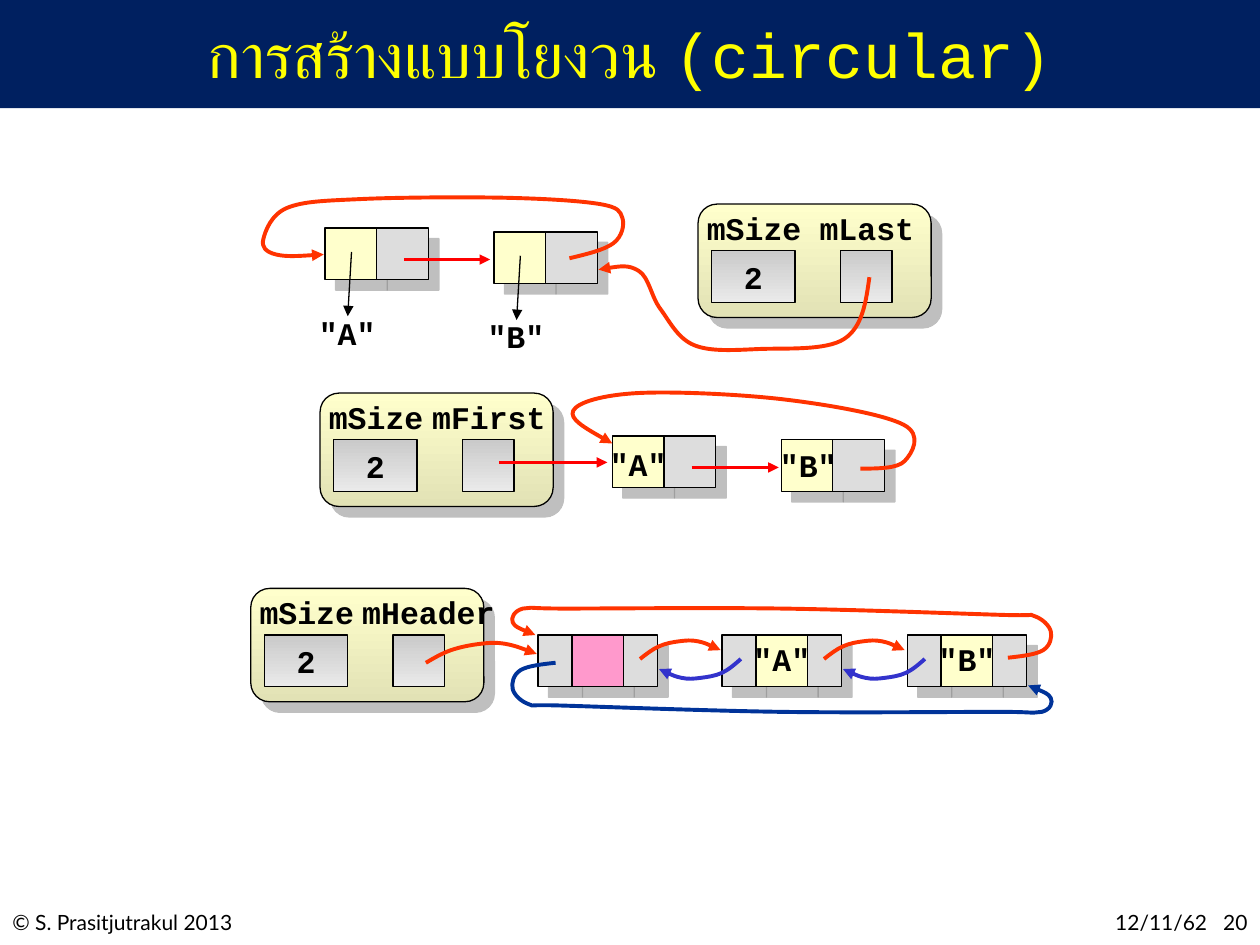
"""Build a slide showing three circular linked list layouts."""
from dataclasses import dataclass

from lxml.etree import SubElement
from pptx import Presentation
from pptx.dml.color import RGBColor
from pptx.enum.shapes import MSO_CONNECTOR, MSO_SHAPE
from pptx.enum.text import MSO_ANCHOR, PP_ALIGN
from pptx.oxml.ns import qn
from pptx.util import Inches, Pt


@dataclass(frozen=True)
class Theme:
    navy: str = "002060"
    title: str = "FFFF00"
    ink: str = "000000"
    value: str = "FFFFCC"
    link: str = "DDDDDD"
    header: str = "FF99CC"
    shadow: str = "808080"
    record: tuple = ("FFFFCC", "E2E2B5")
    field: tuple = ("CACACA", "EAEAEA")
    red: str = "FF0000"
    orange: str = "FF3300"
    violet: str = "3333CC"
    blue: str = "003399"
    code_font: str = "Courier New"
    footer_font: str = "Lato"
    title_size: int = 36
    label_size: int = 18
    footer_size: int = 12


theme = Theme()
deck = Presentation()
deck.slide_width, deck.slide_height = Inches(10), Inches(7.5)
page = deck.slides.add_slide(deck.slide_layouts[6])
shapes = page.shapes


def add_box(place, fill, preset=MSO_SHAPE.RECTANGLE, line=theme.ink, shadow=False):
    box = shapes.add_shape(preset, *map(Inches, place))
    if isinstance(fill, tuple):
        box.fill.gradient()
        box.fill.gradient_angle = 270
        for stop, colour in zip(box.fill.gradient_stops, fill):
            stop.color.rgb = RGBColor.from_string(colour)
            stop.position = fill.index(colour)
    else:
        box.fill.solid()
        box.fill.fore_color.rgb = RGBColor.from_string(fill)
    if line:
        box.line.color.rgb = RGBColor.from_string(line)
        box.line.width = Pt(0.75)
    else:
        box.line.fill.background()
    box.shadow.inherit = False
    if shadow:
        effects = box.element.spPr.find(qn("a:effectLst"))
        outer = SubElement(effects, qn("a:outerShdw"), dist=str(Pt(8.5)),
                           dir="2700000", algn="ctr", rotWithShape="0")
        tint = SubElement(outer, qn("a:srgbClr"), val=theme.shadow)
        SubElement(tint, qn("a:alpha"), val="50000")
    return box


def write(box, text, size=theme.label_size, font=theme.code_font, colour=theme.ink,
          bold=True, align=PP_ALIGN.CENTER, anchor=MSO_ANCHOR.TOP):
    frame = box.text_frame
    frame.word_wrap = True
    frame.vertical_anchor = anchor
    para = frame.paragraphs[0]
    para.text = text
    para.alignment = align
    para.font.size = Pt(size)
    para.font.name = font
    para.font.bold = bold
    para.font.color.rgb = RGBColor.from_string(colour)


add_box((0, 0, 10, 0.86), theme.navy, line=None)
title = shapes.add_textbox(*map(Inches, (0.75, 0.01, 8.5, 0.83)))
write(title, "การสร้างแบบโยงวน (circular)", theme.title_size, colour=theme.title,
      bold=False, anchor=MSO_ANCHOR.MIDDLE)

footers = [
    ("© S. Prasitjutrakul 2013", 0, 3.25, PP_ALIGN.LEFT),
    ("12/11/62", 8.47, 1.21, PP_ALIGN.RIGHT),
    ("20", 9.5, 0.5, PP_ALIGN.RIGHT),
]
for text, left, width, align in footers:
    footer = shapes.add_textbox(*map(Inches, (left, 7.17, width, 0.3)))
    write(footer, text, theme.footer_size, theme.footer_font, bold=False, align=align)

cell = 0.41
labels = [
    ('"A"', 2.34, 2.44, 0.83), ('"B"', 3.68, 2.47, 0.83),
    ('"A"', 4.65, 3.48, 0.83), ('"B"', 6, 3.49, 0.83),
    ('"A"', 5.87, 5.03, 0.67), ('"B"', 7.34, 5.03, 0.67),
]

records = [
    ("mLast", 5.54, 1.62, 1.14),
    ("mFirst", 2.54, 3.12, 1.14),
    ("mHeader", 1.99, 4.67, 1.28),
]
for name, left, top, name_width in records:
    add_box((left, top, 1.85, 0.9), theme.record, MSO_SHAPE.ROUNDED_RECTANGLE, shadow=True)
    add_box((left + 1.13, top + 0.37, cell, cell), theme.field)
    size_field = add_box((left + 0.11, top + 0.37, 0.66, cell), theme.field)
    write(size_field, "2", anchor=MSO_ANCHOR.MIDDLE)
    labels += [("mSize", left - 0.06, top - 0.01, 1.01),
               (name, left + 0.77, top - 0.01, name_width)]

single = [(cell, theme.value), (cell, theme.link)]
double = [(0.27, theme.link), (cell, theme.value), (0.27, theme.link)]
header = [(0.27, theme.link), (cell, theme.header), (0.27, theme.link)]
nodes = [
    (2.58, 1.81, single), (3.92, 1.84, single),
    (4.86, 3.46, single), (6.2, 3.49, single),
    (4.27, 5.04, header), (5.73, 5.04, double), (7.2, 5.04, double),
]
for left, top, cells in nodes:
    for width, colour in cells:
        add_box((left, top, width, cell), colour, shadow=True)
        left += width

arrows = [
    (theme.ink, 0.75, [(2.79, 2), (2.76, 2.51)]),
    (theme.ink, 0.75, [(4.13, 2.03), (4.1, 2.54)]),
    (theme.red, 2, [(3.21, 2.06), (3.89, 2.06)]),
    (theme.red, 2, [(3.96, 3.67), (4.82, 3.67)]),
    (theme.red, 2, [(5.49, 3.71), (6.18, 3.71)]),
    (theme.orange, 2.25, [(6.9, 2.2), (6.7, 2.69), (6.03, 2.77), (5.51, 2.74),
                          (5.24, 2.45), (5.07, 2.15), (4.75, 2.14)]),
    (theme.orange, 2.25, [(4.52, 2.05), (4.87, 1.93), (4.94, 1.73), (4.76, 1.62), (4, 1.57),
                          (2.87, 1.58), (2.28, 1.65), (2.09, 1.9), (2.19, 2.02), (2.57, 2.02)]),
    (theme.orange, 2.25, [(6.83, 3.72), (7.18, 3.66), (7.17, 3.37), (6.22, 3.17),
                          (5.06, 3.12), (4.55, 3.26), (4.86, 3.52)]),
    (theme.orange, 2.25, [(3.38, 5.26), (3.58, 5.16), (3.81, 5.11), (4.01, 5.11), (4.26, 5.19)]),
    (theme.orange, 2.25, [(8, 5.22), (8.28, 5.16), (8.34, 5.01), (8.21, 4.89), (7.95, 4.88),
                          (6.21, 4.83), (4.49, 4.83), (4.15, 4.83), (4.07, 4.94), (4.25, 5.04)]),
    (theme.blue, 2.25, [(4.41, 5.26), (4.13, 5.32), (4.07, 5.47), (4.2, 5.59), (4.46, 5.6),
                        (6.2, 5.65), (7.92, 5.65), (8.27, 5.65), (8.34, 5.54), (8.16, 5.44)]),
]
forward = [(5.08, 5.23), (5.23, 5.13), (5.39, 5.09), (5.54, 5.09), (5.72, 5.16)]
backward = [(5.88, 5.23), (5.73, 5.34), (5.56, 5.38), (5.41, 5.38), (5.23, 5.31)]
for shift in (0, 1.46):
    for colour, knots in ((theme.orange, forward), (theme.violet, backward)):
        arrows.append((colour, 2.25, [(x + shift, y) for x, y in knots]))

for colour, weight, knots in arrows:
    straight = len(knots) == 2
    if straight:
        ends = [Inches(value) for knot in knots for value in knot]
        arrow = shapes.add_connector(MSO_CONNECTOR.STRAIGHT, *ends)
    else:
        tangents = [((after[0] - before[0]) / 6, (after[1] - before[1]) / 6)
                    for before, after in zip(knots, knots[2:])]
        leaving = [(x + dx, y + dy) for (x, y), (dx, dy) in zip(knots[1:], tangents)]
        arriving = [(x - dx, y - dy) for (x, y), (dx, dy) in zip(knots[1:], tangents)]
        first = tuple((a + b) / 2 for a, b in zip(knots[0], arriving[0]))
        last = tuple((a + b) / 2 for a, b in zip(knots[-1], leaving[-1]))
        segments = zip([first] + leaving, arriving + [last], knots[1:])
        points = [tuple(map(Inches, point)) for segment in segments for point in segment]
        builder = shapes.build_freeform(*map(Inches, knots[0]))
        builder.add_line_segments(points, close=False)
        arrow = builder.convert_to_shape()
        arrow.fill.background()
        arrow.shadow.inherit = False
        steps = arrow.element.spPr.findall(".//" + qn("a:lnTo"))
        outline = steps[0].getparent()
        for start in range(0, len(steps), 3):
            bend = SubElement(outline, qn("a:cubicBezTo"))
            for step in steps[start:start + 3]:
                bend.append(step[0])
                outline.remove(step)
    arrow.line.color.rgb = RGBColor.from_string(colour)
    arrow.line.width = Pt(weight)
    properties = arrow.element.spPr
    SubElement(properties.find(qn("a:ln")), qn("a:tailEnd"), type="triangle")
    if straight:
        SubElement(properties, qn("a:effectLst"))

for text, left, top, width in labels:
    label = shapes.add_textbox(*map(Inches, (left, top, width, 0.4)))
    write(label, text)

deck.save("out.pptx")
